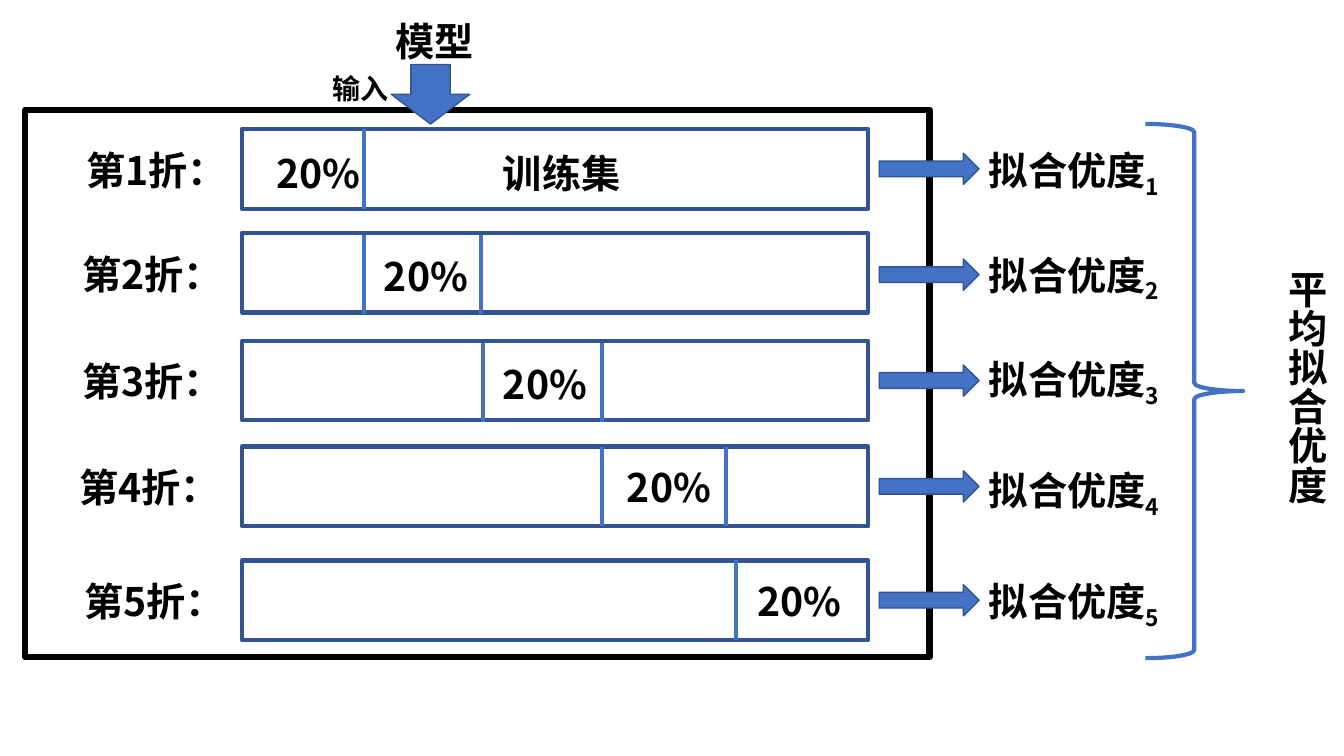
import pptx
import pptx.util
import pptx.dml.color
import pptx.enum.shapes
import pptx.enum.text
import pptx.oxml.ns
import lxml.etree

SHAPES = pptx.enum.shapes.MSO_SHAPE
FONT = "Noto Sans CJK SC"
BLACK, BLUE, NAVY = "000000", "4472C4", "325491"

deck = pptx.Presentation()
deck.slide_width = pptx.util.Inches(13.33)
deck.slide_height = pptx.util.Inches(7.5)
column = deck.slide_width / 1333
row = deck.slide_height / 750
page = deck.slides.add_slide(deck.slide_layouts[6])


def add_figure(kind, left, top, width, height, fill, line, weight):
    figure = page.shapes.add_shape(
        kind, int(left * column), int(top * row), int(width * column), int(height * row)
    )
    figure.shadow.inherit = False
    if fill:
        figure.fill.solid()
        figure.fill.fore_color.rgb = pptx.dml.color.RGBColor.from_string(fill)
    else:
        figure.fill.background()
    figure.line.color.rgb = pptx.dml.color.RGBColor.from_string(line)
    figure.line.width = pptx.util.Pt(weight)


def add_label(left, top, text, subscript="", size=28, width=215, height=55):
    box = page.shapes.add_textbox(
        int(left * column), int(top * row), int(width * column), int(height * row)
    )
    box.text_frame.word_wrap = True
    box.text_frame.auto_size = pptx.enum.text.MSO_AUTO_SIZE.SHAPE_TO_FIT_TEXT
    para = box.text_frame.paragraphs[0]
    para.text = text
    if subscript:
        para.add_run().text = subscript
    for span in para.runs:
        span.font.size = pptx.util.Pt(size)
        span.font.bold = True
        span.font.color.rgb = pptx.dml.color.RGBColor.from_string(BLACK)
        span.font.name = FONT
        properties = span._r.get_or_add_rPr()
        lxml.etree.SubElement(properties, pptx.oxml.ns.qn("a:ea"), typeface=FONT)
    if subscript:
        properties.set("baseline", "-25000")
    return box


add_figure(SHAPES.RECTANGLE, 25, 109, 897, 543, None, BLACK, 4.5)

# fold top, label left, share left, share top, score top, divider top, divider columns
folds = [
    (128, 76, 264, 143, 140, 128, [361]),
    (231, 72, 371, 245, 244, 233, [361, 477]),
    (338, 72, 489, 353, 348, 340, [479, 597]),
    (443, 69, 612, 455, 458, 443, [597, 720]),
    (556, 74, 741, 568, 568, 556, [730]),
]
arrow_tops = [152, 257, 362, 467, 580]

for number, (fold, arrow_top) in enumerate(zip(folds, arrow_tops), start=1):
    fold_top, label_left, share_left, share_top, score_top, divider_top, dividers = fold
    add_figure(SHAPES.RECTANGLE, 240, fold_top, 621, 79, None, NAVY, 3)
    for divider_left in dividers:
        divider = page.shapes.add_connector(
            pptx.enum.shapes.MSO_CONNECTOR.STRAIGHT,
            int(divider_left * column), int(divider_top * row),
            int(divider_left * column), int((divider_top + 79) * row),
        )
        divider.line.color.rgb = pptx.dml.color.RGBColor.from_string(BLUE)
        divider.line.width = pptx.util.Pt(3)
        lxml.etree.SubElement(divider._element.spPr, pptx.oxml.ns.qn("a:effectLst"))
    add_label(label_left, fold_top + 12, f"第{number}折：")
    add_label(share_left, share_top, "20%")
    add_label(971, score_top, "拟合优度", str(number), height=57)
    add_figure(SHAPES.RIGHT_ARROW, 872, arrow_top, 99, 31, BLUE, NAVY, 1)

add_label(489, 143, "训练集")
add_label(382, 12, "模型", height=57)
add_label(320, 66, "输入", size=20, height=44)
add_figure(SHAPES.DOWN_ARROW, 388, 64, 78, 59, BLUE, NAVY, 1)
add_figure(SHAPES.RIGHT_BRACE, 1136, 123, 97, 530, None, BLUE, 3)

average = add_label(1257, 258, "平均拟合优度", width=67, height=297)
average.text_frame._txBody.bodyPr.set("vert", "eaVert")

deck.save("out.pptx")
